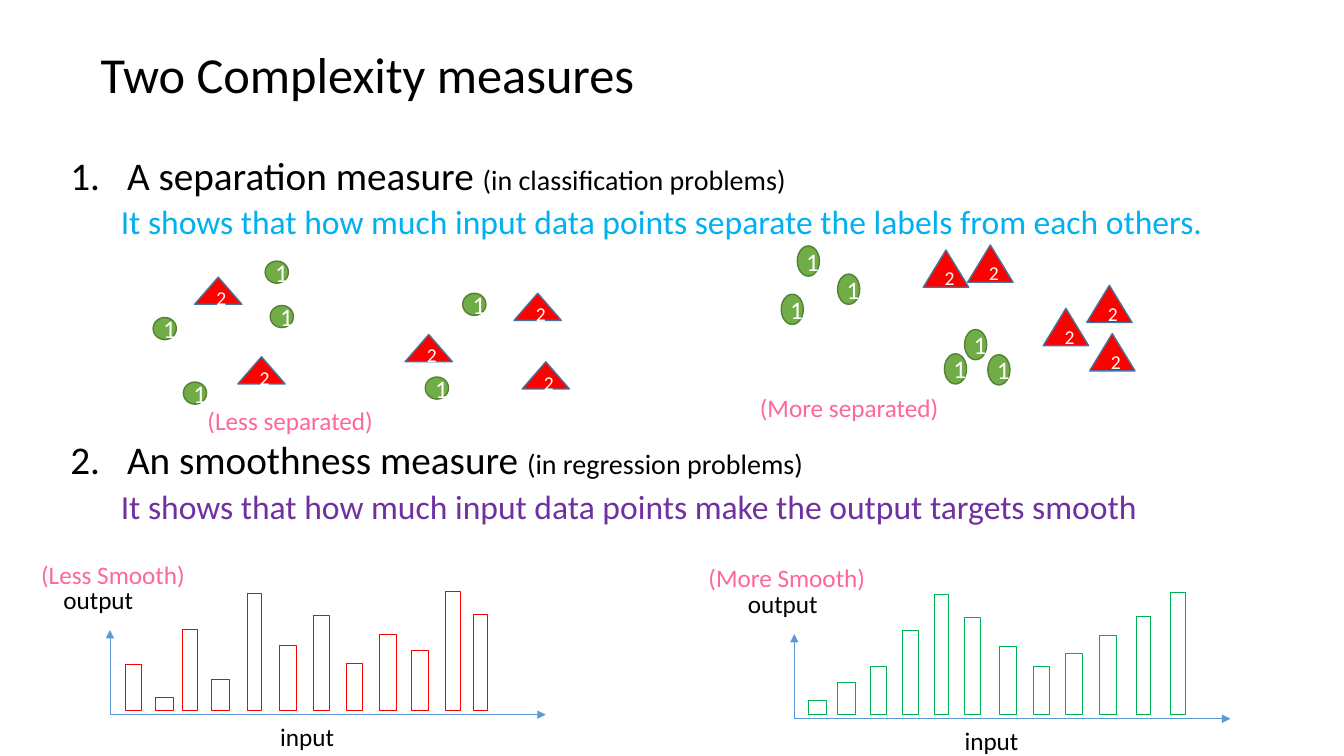
from dataclasses import dataclass

from lxml import etree
from pptx import Presentation
from pptx import util as u
from pptx.dml.color import RGBColor
from pptx.enum import shapes, text
from pptx.oxml import ns


@dataclass(frozen=True)
class Theme:
    font: str = "Calibri"
    ink: str = "000000"
    paper: str = "FFFFFF"
    blue: str = "00B0F0"
    purple: str = "7030A0"
    pink: str = "FF6699"
    axis: str = "5B9BD5"
    circle: str = "70AD47"
    circle_edge: str = "538035"
    triangle: str = "FF0000"
    triangle_edge: str = "43739E"
    rough: str = "FF0000"
    smooth: str = "00B050"
    title_size: float = 36
    heading_size: float = 28
    detail_size: float = 24
    aside_size: float = 20
    label_size: float = 18
    mark_size: float = 14


@dataclass(frozen=True)
class Measure:
    number: int
    top: float
    heading: str
    aside: str
    detail: str
    color: str


@dataclass(frozen=True)
class Label:
    words: str
    left: float
    top: float
    width: float
    color: str


@dataclass(frozen=True)
class Marker:
    """One class of data points: its digit, look and size."""
    digit: str
    preset: shapes.MSO_SHAPE
    fill: str
    edge: str
    text_size: float
    width: float
    height: float
    places: list[tuple[float, float]]


@dataclass(frozen=True)
class BarPlot:
    origin: tuple[float, float]
    color: str
    bars: list[tuple[float, float, float]]  # left, width, height


THEME = Theme()
BAR_GAP = 3  # between bars and the input axis
AXIS_LENGTH, AXIS_HEIGHT = 311.4, 60.5

MEASURES = [
    Measure(1, 108, "A separation measure ", "(in classification problems)",
            "It shows that how much input data points separate the labels from each others.",
            THEME.blue),
    Measure(2, 311.5, "An smoothness measure ", "(in regression problems)",
            "It shows that how much input data points make the output targets smooth",
            THEME.purple),
]

CAPTIONS = [
    Label("(Less separated)", 141.1, 285.8, 133.9, THEME.pink),
    Label("(More separated)", 535.7, 276.5, 143.3, THEME.pink),
    Label("(Less Smooth)", 22.3, 396, 118.1, THEME.pink),
    Label("(More Smooth)", 499, 398.2, 127.4, THEME.pink),
]


def ones(width: float, height: float, places: list[tuple[float, float]]) -> Marker:
    return Marker("1", shapes.MSO_SHAPE.OVAL, THEME.circle, THEME.circle_edge,
                  THEME.label_size, width, height, places)


def twos(width: float, height: float, places: list[tuple[float, float]]) -> Marker:
    return Marker("2", shapes.MSO_SHAPE.ISOSCELES_TRIANGLE, THEME.triangle,
                  THEME.triangle_edge, THEME.mark_size, width, height, places)


MARKERS = [
    # Less separated
    ones(16.6, 15.8, [(109.4, 226.8), (131, 272.9), (189.4, 186.5),
                      (193, 218.2), (330.5, 209.5), (303.8, 269.3)]),
    twos(33.8, 19.4, [(373, 258.5), (289.4, 239), (367.2, 209.5),
                      (139, 198), (169.9, 254.9)]),
    # More separated
    ones(15.8, 21.6, [(558, 210.2), (689, 235.4), (705.6, 253.4),
                      (598.3, 195.8), (674.6, 252.7), (569.5, 175.7)]),
    twos(32.4, 26.6, [(778.3, 238.3), (691.2, 175), (776.2, 203.8),
                      (745.2, 220.3), (659.5, 178.6)]),
]

PLOTS = [
    BarPlot((78.5, 510.5), THEME.rough, [
        (89.3, 11.5, 33.1), (110.9, 13, 9.7), (130.3, 10.8, 57.6), (151.2, 13, 22.3),
        (176.4, 10.1, 83.5), (199.4, 12.2, 46.8), (223.9, 11.5, 67.7), (247.7, 11.5, 33.8),
        (270.7, 12.2, 54.7), (293.8, 12.2, 43.2), (318.2, 10.8, 85), (338.4, 10.1, 68.4)]),
    BarPlot((567.4, 513.4), THEME.smooth, [
        (577.4, 13, 10.1), (598.3, 13, 23), (621.4, 11.5, 34.6), (644.4, 11.5, 59.8),
        (667.4, 10.1, 85.7), (689, 11.5, 69.1), (713.5, 12.2, 49), (738, 11.5, 34.6),
        (761, 12.2, 43.9), (785.5, 12.2, 56.9), (811.4, 10.1, 69.8), (835.9, 10.8, 87.1)]),
]


def points(*lengths: float) -> list[u.Length]:
    return [u.Pt(length) for length in lengths]


def set_font(font, size: float, color: str) -> None:
    font.name, font.size = THEME.font, u.Pt(size)
    font.color.rgb = RGBColor.from_string(color)


def add_label(page, label: Label) -> None:
    box = page.shapes.add_textbox(*points(label.left, label.top, label.width, 28.8))
    box.text_frame.word_wrap = False
    para = box.text_frame.paragraphs[0]
    para.text = label.words
    set_font(para.font, THEME.label_size, label.color)


def add_title(page, words: str) -> None:
    box = page.shapes.add_textbox(*points(64.8, 2.9, 828, 104.4))
    box.text_frame.word_wrap = True
    box.text_frame.vertical_anchor = text.MSO_ANCHOR.MIDDLE
    para = box.text_frame.paragraphs[0]
    para.text, para.line_spacing = words, 0.9
    set_font(para.font, THEME.title_size, THEME.ink)


def add_measure(page, measure: Measure) -> None:
    box = page.shapes.add_textbox(*points(43.2, measure.top, 897.1, 76))
    box.text_frame.word_wrap = True
    heading = box.text_frame.paragraphs[0]
    heading.line_spacing = 0.9
    for words, size in ((measure.heading, THEME.heading_size),
                        (measure.aside, THEME.aside_size)):
        span = heading.add_run()
        span.text = words
        set_font(span.font, size, THEME.ink)
    # Automatic number with a hanging indent
    properties = heading._p.get_or_add_pPr()
    properties.set("marL", str(u.Pt(40.5)))
    properties.set("indent", str(u.Pt(-40.5)))
    etree.SubElement(properties, ns.qn("a:buFont"), typeface="+mj-lt")
    etree.SubElement(properties, ns.qn("a:buAutoNum"), type="arabicPeriod",
                     startAt=str(measure.number))

    detail = box.text_frame.add_paragraph()
    detail.text, detail.line_spacing, detail.space_before = measure.detail, 0.9, u.Pt(5)
    detail._p.get_or_add_pPr().set("marL", str(u.Pt(36)))
    set_font(detail.font, THEME.detail_size, measure.color)


def add_figure(page, preset: shapes.MSO_SHAPE, frame: tuple[float, float, float, float],
               fill: str, edge: str, weight: float):
    figure = page.shapes.add_shape(preset, *points(*frame))
    figure.shadow.inherit = False
    figure.fill.solid()
    figure.fill.fore_color.rgb = RGBColor.from_string(fill)
    figure.line.color.rgb = RGBColor.from_string(edge)
    figure.line.width = u.Pt(weight)
    return figure


def add_markers(page, marker: Marker) -> None:
    for left, top in marker.places:
        figure = add_figure(page, marker.preset, (left, top, marker.width, marker.height),
                            marker.fill, marker.edge, 1)
        para = figure.text_frame.paragraphs[0]
        para.text, para.alignment = marker.digit, text.PP_ALIGN.CENTER
        set_font(para.font, marker.text_size, THEME.paper)


def add_axis(page, start: tuple[float, float], end: tuple[float, float]) -> None:
    axis = page.shapes.add_connector(shapes.MSO_CONNECTOR.STRAIGHT, *points(*start, *end))
    axis.line.color.rgb = RGBColor.from_string(THEME.axis)
    axis.line.width = u.Pt(0.5)
    etree.SubElement(axis.line._get_or_add_ln(), ns.qn("a:tailEnd"), type="triangle")
    etree.SubElement(axis._element.spPr, ns.qn("a:effectLst"))


def add_plot(page, plot: BarPlot) -> None:
    x, y = plot.origin
    for left, width, height in plot.bars:
        add_figure(page, shapes.MSO_SHAPE.RECTANGLE,
                   (left, y - BAR_GAP - height, width, height), THEME.paper, plot.color, 0.5)
    add_axis(page, plot.origin, (x + AXIS_LENGTH, y))
    add_axis(page, plot.origin, (x, y - AXIS_HEIGHT))
    add_label(page, Label("input", x + 114.5, y + 1.4, 53.3, THEME.ink))
    add_label(page, Label("output", x - 40.3, y - 96.5, 64.8, THEME.ink))


def main() -> None:
    deck = Presentation()
    deck.slide_width, deck.slide_height = points(960, 540)
    page = deck.slides.add_slide(deck.slide_layouts[6])
    # Headings
    add_title(page, "Two Complexity measures")
    for measure in MEASURES:
        add_measure(page, measure)
    # Smoothness plots
    for plot in PLOTS:
        add_plot(page, plot)
    # Separation scatters
    for marker in MARKERS:
        add_markers(page, marker)
    for caption in CAPTIONS:
        add_label(page, caption)
    deck.save("out.pptx")


if __name__ == "__main__":
    main()
